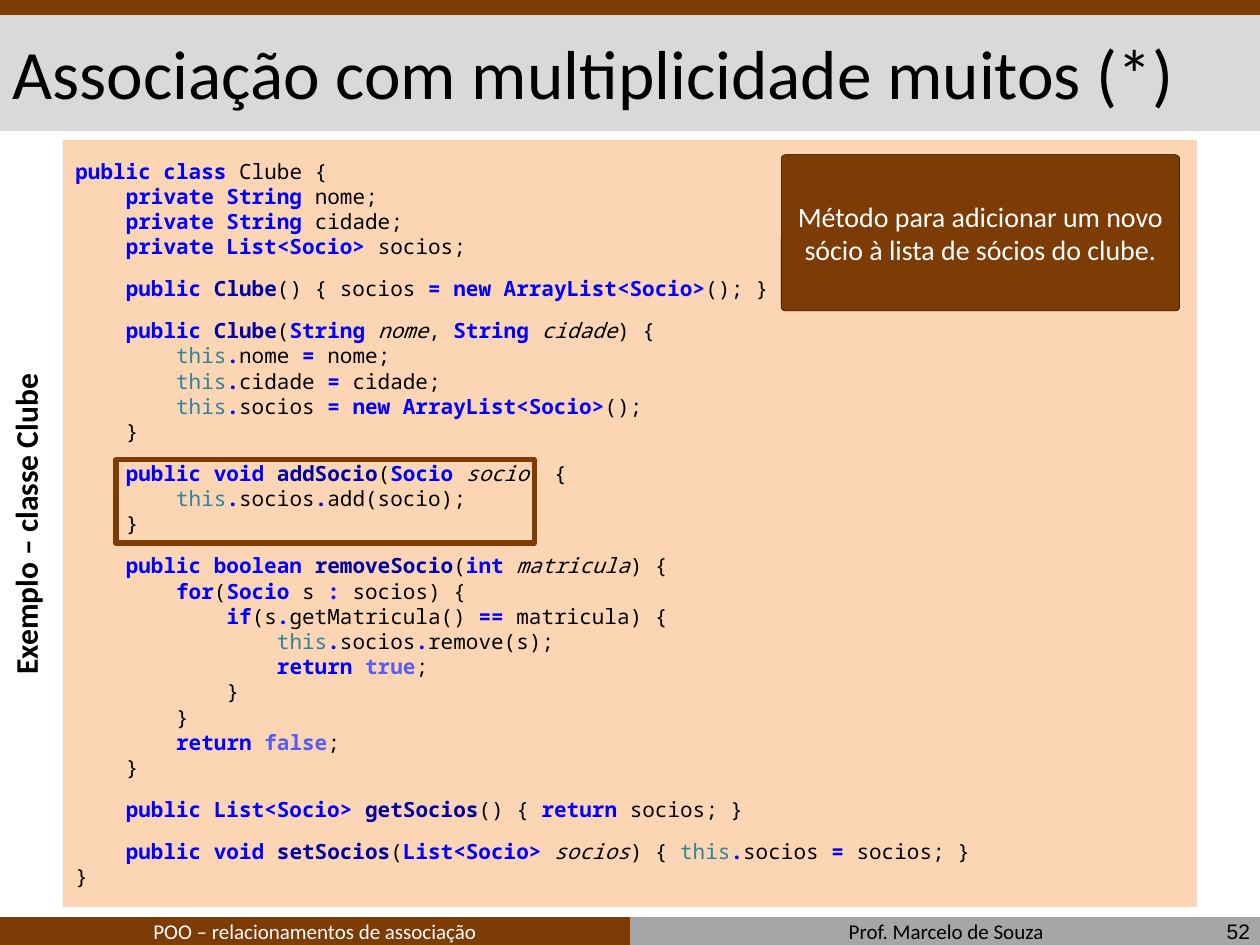
from dataclasses import dataclass
from functools import partial

from pptx import Presentation
from pptx.dml.color import RGBColor
from pptx.enum.shapes import MSO_SHAPE
from pptx.enum.text import MSO_ANCHOR, MSO_AUTO_SIZE, PP_ALIGN
from pptx.util import Cm, Pt

RECTANGLE, ROUNDED = MSO_SHAPE.RECTANGLE, MSO_SHAPE.ROUNDED_RECTANGLE
TOP, MIDDLE, BOTTOM = MSO_ANCHOR.TOP, MSO_ANCHOR.MIDDLE, MSO_ANCHOR.BOTTOM
LEFT, CENTER, RIGHT = PP_ALIGN.LEFT, PP_ALIGN.CENTER, PP_ALIGN.RIGHT

BROWN, PEACH, LIGHT_GRAY, GRAY = "7D3B05", "FCD5B5", "D9D9D9", "A6A6A6"
BLACK, WHITE = "000000", "FFFFFF"
CODE_FONT = "Noto Sans Mono"
CODE_SIZE = 12
INDENT = Pt(4 * 0.6 * CODE_SIZE)  # four monospaced characters
BLOCK_GAP = Pt(9.6)


@dataclass(frozen=True)
class Box:
    left: float
    top: float
    width: float
    height: float

    def lengths(self) -> tuple:
        return Cm(self.left), Cm(self.top), Cm(self.width), Cm(self.height)


@dataclass(frozen=True)
class Token:
    text: str
    color: str = BLACK
    bold: bool = False
    italic: bool = False


@dataclass(frozen=True)
class CodeLine:
    level: int
    tokens: tuple
    starts_block: bool = False


@dataclass(frozen=True)
class Label:
    text: str
    box: Box
    size: float
    color: str = BLACK
    align: PP_ALIGN = CENTER
    anchor: MSO_ANCHOR = BOTTOM
    font: str = "Calibri"
    bold: bool = False
    rotation: float = 0


plain = Token
keyword = partial(Token, color="0000FF", bold=True)
method = partial(Token, color="0000A2", bold=True)
literal = partial(Token, color="585CF6", bold=True)
param = partial(Token, italic=True)
THIS = (Token("this", color="318495"), keyword("."))


def line(level: int, *tokens: Token) -> CodeLine:
    return CodeLine(level, tokens)


def block(level: int, *tokens: Token) -> CodeLine:
    """A code line set apart from the one above."""
    return CodeLine(level, tokens, starts_block=True)


def field(kind: str, name: str) -> CodeLine:
    return line(1, keyword(f"private {kind} "), plain(f"{name};"))


def assignment(name: str) -> CodeLine:
    return line(2, *THIS, plain(f"{name} "), keyword("="), plain(f" {name};"))


def closing(level: int) -> CodeLine:
    return line(level, plain("}"))


CLUBE_CODE = [
    line(0, keyword("public class"), plain(" Clube {")),
    field("String", "nome"),
    field("String", "cidade"),
    field("List<Socio>", "socios"),
    block(1, keyword("public "), method("Clube"), plain("() { socios "),
          keyword("= new ArrayList<Socio>"), plain("(); }")),
    block(1, keyword("public "), method("Clube"), plain("("), keyword("String "),
          param("nome"), plain(", "), keyword("String "), param("cidade"), plain(") {")),
    assignment("nome"),
    assignment("cidade"),
    line(2, *THIS, plain("socios "), keyword("= new ArrayList<Socio>"), plain("();")),
    closing(1),
    block(1, keyword("public void "), method("addSocio"), plain("("),
          keyword("Socio "), param("socio"), plain(") {")),
    line(2, *THIS, plain("socios"), keyword("."), plain("add(socio);")),
    closing(1),
    block(1, keyword("public boolean "), method("removeSocio"), plain("("),
          keyword("int "), param("matricula"), plain(") {")),
    line(2, keyword("for"), plain("("), keyword("Socio "), plain("s "),
         keyword(": "), plain("socios) {")),
    line(3, keyword("if"), plain("(s"), keyword("."), plain("getMatricula() "),
         keyword("=="), plain(" matricula) {")),
    line(4, *THIS, plain("socios"), keyword("."), plain("remove(s);")),
    line(4, keyword("return "), literal("true"), plain(";")),
    closing(3),
    closing(2),
    line(2, keyword("return "), literal("false"), plain(";")),
    closing(1),
    block(1, keyword("public List<Socio> "), method("getSocios"), plain("() { "),
          keyword("return "), plain("socios; }")),
    block(1, keyword("public void "), method("setSocios"), plain("("),
          keyword("List<Socio> "), param("socios"), plain(") { "), *THIS,
          plain("socios "), keyword("= "), plain("socios; }")),
    closing(0),
]

BARS = [
    (Box(12.7, 18.49, 12.7, 0.61), GRAY),
    (Box(0, 18.49, 12.7, 0.61), BROWN),
    (Box(0, 0.28, 25.4, 2.36), LIGHT_GRAY),
    (Box(0, 0, 25.4, 0.3), BROWN),
]

TITLE = Label("Associação com multiplicidade muitos (*)", Box(0, 0.3, 25.4, 2.31),
              39.6, align=LEFT, anchor=MIDDLE)
CALLOUT = Label("Método para adicionar um novo sócio à lista de sócios do clube.",
                Box(15.75, 3.12, 8.03, 3.15), 16, WHITE, anchor=MIDDLE)
LABELS = [
    Label("Prof. Marcelo de Souza", Box(12.7, 18.39, 12.75, 0.76), 12),
    Label("POO – relacionamentos de associação", Box(0, 18.39, 12.7, 0.76), 12, WHITE),
    Label("Exemplo – classe Clube", Box(4.45, -1.85, 15.95, 24.84), 18,
          anchor=TOP, bold=True, rotation=270),
    Label("52", Box(19.53, 18.36, 5.92, 0.84), 12, align=RIGHT, anchor=MIDDLE,
          font="Arial"),
]


def rgb(color: str) -> RGBColor:
    return RGBColor.from_string(color)


def add_panel(slide, box: Box, fill: str = "", outline: str = "",
              weight: float = 0, preset=RECTANGLE):
    panel = slide.shapes.add_shape(preset, *box.lengths())
    panel.shadow.inherit = False
    if fill:
        panel.fill.solid()
        panel.fill.fore_color.rgb = rgb(fill)
    else:
        panel.fill.background()
    if outline:
        panel.line.color.rgb = rgb(outline)
        panel.line.width = Pt(weight)
    else:
        panel.line.fill.background()
    return panel


def write_label(shape, label: Label) -> None:
    frame = shape.text_frame
    frame.word_wrap = True
    frame.auto_size = MSO_AUTO_SIZE.NONE
    frame.vertical_anchor = label.anchor
    paragraph = frame.paragraphs[0]
    paragraph.text = label.text
    paragraph.alignment = label.align
    font = paragraph.font
    font.name, font.size, font.bold = label.font, Pt(label.size), label.bold
    font.color.rgb = rgb(label.color)


def write_code(panel, code: list[CodeLine]) -> None:
    frame = panel.text_frame
    frame.word_wrap = True
    frame.vertical_anchor = MIDDLE
    for index, code_line in enumerate(code):
        paragraph = frame.add_paragraph() if index else frame.paragraphs[0]
        paragraph.alignment = LEFT
        paragraph.font.name, paragraph.font.size = CODE_FONT, Pt(CODE_SIZE)
        properties = paragraph._p.get_or_add_pPr()
        properties.set("marL", str(code_line.level * INDENT))
        if code_line.starts_block:
            paragraph.space_before = BLOCK_GAP
        for token in code_line.tokens:
            run = paragraph.add_run()
            run.text = token.text
            run.font.bold, run.font.italic = token.bold, token.italic
            run.font.color.rgb = rgb(token.color)


def main() -> None:
    deck = Presentation()
    deck.slide_width, deck.slide_height = Cm(25.4), Cm(19.05)
    slide = deck.slides.add_slide(deck.slide_layouts[5])

    for box, fill in BARS:
        add_panel(slide, box, fill)

    title = slide.shapes.title
    title.left, title.top, title.width, title.height = TITLE.box.lengths()
    write_label(title, TITLE)
    slide.shapes._spTree.append(title._element)  # in front of its band

    for label in LABELS:
        text_box = slide.shapes.add_textbox(*label.box.lengths())
        text_box.rotation = label.rotation
        write_label(text_box, label)

    write_code(add_panel(slide, Box(1.27, 2.82, 22.86, 15.47), PEACH), CLUBE_CODE)
    callout = add_panel(slide, CALLOUT.box, BROWN, BLACK, 0.25, ROUNDED)
    callout.adjustments[0] = 0.025
    write_label(callout, CALLOUT)
    add_panel(slide, Box(2.34, 9.27, 8.43, 1.68), outline=BROWN, weight=3)

    deck.save("out.pptx")


if __name__ == "__main__":
    main()
